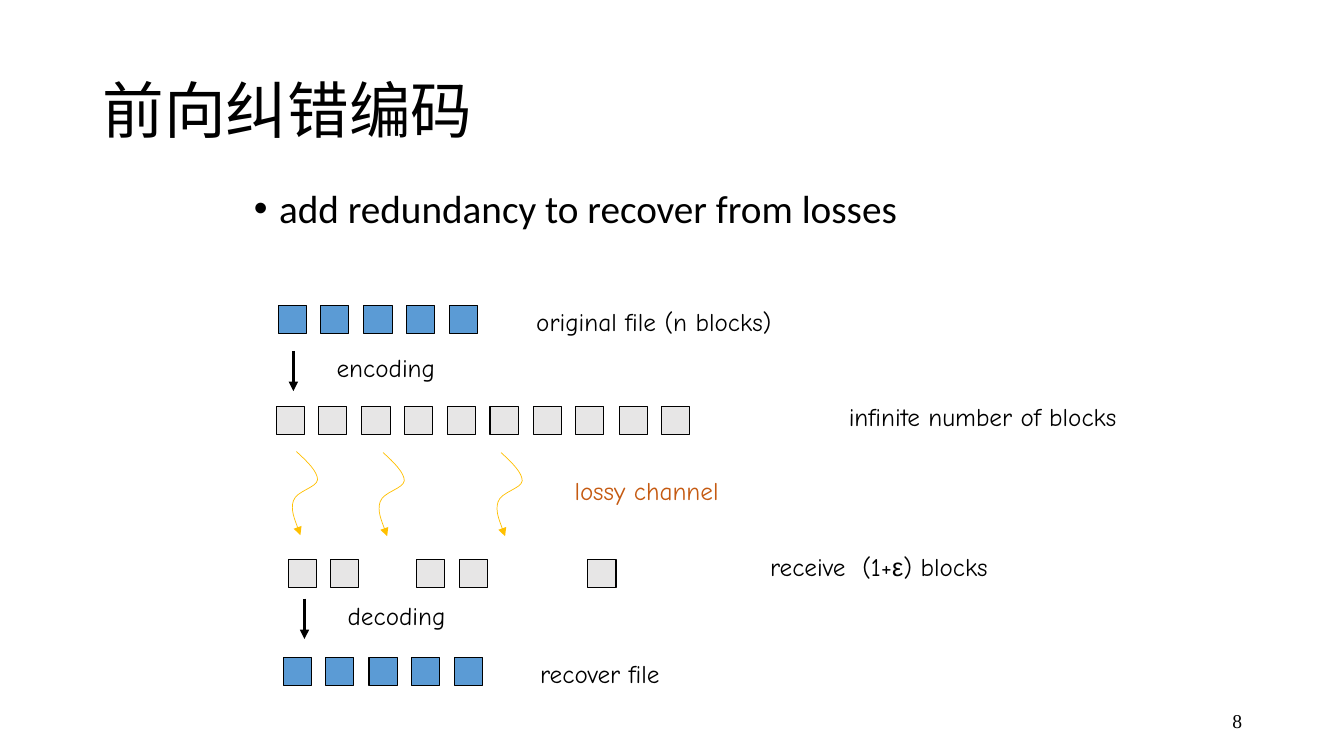
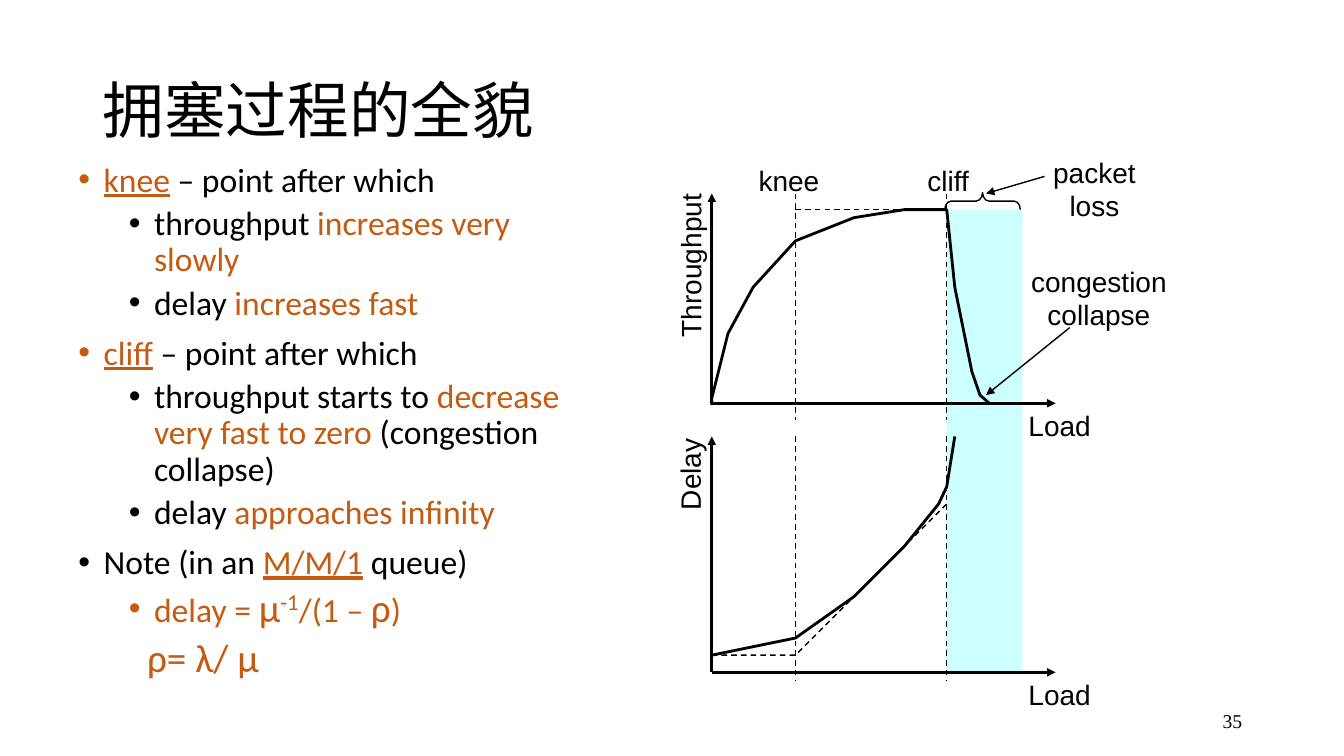
from pptx import Presentation
from pptx.dml.color import RGBColor
from pptx.enum.dml import MSO_LINE
from pptx.enum.shapes import MSO_CONNECTOR, MSO_SHAPE
from pptx.enum.text import MSO_ANCHOR, PP_ALIGN
from pptx.oxml.ns import qn
from pptx.oxml.xmlchemy import OxmlElement
from pptx.util import Pt

PX = 9144
BLACK = RGBColor(0x00, 0x00, 0x00)
BLUE = RGBColor(0x5B, 0x9B, 0xD5)
GREY = RGBColor(0xE7, 0xE6, 0xE6)
GOLD = RGBColor(0xFF, 0xC0, 0x00)
ORANGE = RGBColor(0xC5, 0x5A, 0x11)
CYAN = RGBColor(0xCC, 0xFF, 0xFF)
LEVELS = {"main": (25, -25, 10), "sub": (75, -25, 5), "plain": (68, 0, 5)}


def write(slide, box, paras, font="Arial", size=20, color=BLACK, align=PP_ALIGN.LEFT,
          anchor=MSO_ANCHOR.TOP, wrap=True, turn=0, spacing=1.0, levels=()):
    shape = slide.shapes.add_textbox(*[n * PX for n in box])
    shape.rotation = turn
    frame = shape.text_frame
    frame.word_wrap = wrap
    frame.vertical_anchor = anchor
    for i, runs in enumerate(paras):
        para = frame.paragraphs[0] if i == 0 else frame.add_paragraph()
        para.alignment = align
        para.line_spacing = spacing
        if levels:
            left, hang, before = LEVELS[levels[i]]
            props = para._p.get_or_add_pPr()
            props.set("marL", str(left * PX))
            props.set("indent", str(hang * PX))
            if i:
                para.space_before = Pt(before)
            if hang:
                face = OxmlElement("a:buFont")
                face.set("typeface", "Arial")
                mark = OxmlElement("a:buChar")
                mark.set("char", "•")
                props.extend([face, mark])
        for words, style in [(runs, {})] if isinstance(runs, str) else runs:
            run = para.add_run()
            run.text = words
            run.font.name = style.get("font", font)
            run.font.size = Pt(style.get("size", size))
            run.font.color.rgb = style.get("color", color)
            if style.get("under"):
                run.font.underline = True
            props = run._r.get_or_add_rPr()
            if style.get("raised"):
                props.set("baseline", "30000")
            asian = OxmlElement("a:ea")
            asian.set("typeface", run.font.name)
            props.append(asian)


def stroke(shape, width, color=BLACK, dash=False, arrow=False):
    line = shape.line
    line.color.rgb = color
    line.width = Pt(width)
    if dash:
        line.dash_style = MSO_LINE.DASH
    props = shape._element.spPr
    if arrow:
        tail = OxmlElement("a:tailEnd")
        tail.set("type", "triangle")
        props.find(qn("a:ln")).append(tail)
    props.append(OxmlElement("a:effectLst"))


deck = Presentation()
deck.slide_width = 1333 * PX
deck.slide_height = 750 * PX
pages = []
for title, number in [("前向纠错编码", "8"), ("拥塞过程的全貌", "35")]:
    page = deck.slides.add_slide(deck.slide_layouts[6])
    write(page, (92, 40, 1150, 145), [title], font="Noto Sans CJK SC", size=44,
          anchor=MSO_ANCHOR.MIDDLE, spacing=0.9)
    write(page, (942, 695, 300, 40), [number], font="Times New Roman", size=14,
          align=PP_ALIGN.RIGHT, anchor=MSO_ANCHOR.MIDDLE)
    pages.append(page)
coding, jam = pages

write(coding, (242, 183, 850, 110), ["add redundancy to recover from losses"],
      font="Calibri", size=28, spacing=0.9, levels=["main"])

for left, top, color, slots in [
    (276, 303, BLUE, range(5)),
    (274, 403, GREY, range(10)),
    (286, 555, GREY, (0, 1, 3, 4, 7)),
    (281, 652, BLUE, range(5)),
]:
    for slot in slots:
        x = left + slot * 85 // 2
        block = coding.shapes.add_shape(MSO_SHAPE.RECTANGLE, x * PX, top * PX, 28 * PX, 28 * PX)
        block.fill.solid()
        block.fill.fore_color.rgb = color
        stroke(block, 0.75)

greek = [("receive  (1+", {}), ("ε", {"font": "Arial"}), (") blocks", {})]
for x, y, width, label, color in [
    (522, 299, 272, "original file (n blocks)", BLACK),
    (832, 393, 313, "infinite number of blocks", BLACK),
    (324, 345, 121, "encoding", BLACK),
    (560, 467, 172, "lossy channel", ORANGE),
    (754, 542, 253, greek, BLACK),
    (526, 648, 157, "recover file", BLACK),
    (335, 591, 123, "decoding", BLACK),
]:
    write(coding, (x, y, width, 40), [label], font="Comic Neue", size=18, color=color)

WAVE = [(11, 10), (21, 20), (21, 28), (20, 36), (0, 39), (-3, 49), (-6, 58), (2, 77), (4, 83)]
for x, y in [(294, 448), (380, 449), (497, 449)]:
    pen = coding.shapes.build_freeform(x, y, scale=PX)
    pen.add_line_segments([(x + dx, y + dy) for dx, dy in WAVE], close=False)
    wave = pen.convert_to_shape()
    wave.fill.background()
    stroke(wave, 0.5, GOLD, arrow=True)
    route = wave._element.find(".//" + qn("a:path"))
    steps = list(route)[1:]
    for i in range(0, len(steps), 3):
        bend = OxmlElement("a:cubicBezTo")
        for step in steps[i:i + 3]:
            bend.append(step[0])
            route.remove(step)
        route.append(bend)

hot = {"color": ORANGE}
term = {"color": ORANGE, "under": True}
big = {"color": ORANGE, "size": 28}
write(jam, (68, 157, 521, 530), [
    [("knee", term), (" – point after which", {})],
    [("throughput ", {}), ("increases very slowly", hot)],
    [("delay ", {}), ("increases fast", hot)],
    [("cliff", term), (" – point after which", {})],
    [("throughput starts to ", {}), ("decrease very fast to zero ", hot),
     ("(congestion collapse)", {})],
    [("delay ", {}), ("approaches infinity", hot)],
    [("Note (in an ", {}), ("M/M/1", term), (" queue)", {})],
    [("delay = ", hot), ("μ", big), ("-1", {**big, "raised": True}),
     ("/(1 – ", hot), ("ρ", big), (")", hot)],
    [("ρ= λ/ μ", big)],
], font="Calibri", size=24, spacing=0.9,
    levels=["main", "sub", "sub", "main", "sub", "sub", "main", "sub", "plain"])

band = jam.shapes.add_shape(MSO_SHAPE.RECTANGLE, 939 * PX, 208 * PX, 75 * PX, 458 * PX)
band.fill.solid()
band.fill.fore_color.rgb = CYAN
band.line.fill.background()
band.shadow.inherit = False

AXIS = {"width": 2, "arrow": True}
DASH = {"width": 1, "dash": True}
POINT = {"width": 1, "arrow": True}
DOWN = {"width": 2.25, "arrow": True}
for page, ends, style in [
    (coding, (291, 348, 291, 388), DOWN),
    (coding, (302, 594, 302, 634), DOWN),
    (jam, (706, 400, 706, 192), AXIS),
    (jam, (706, 400, 1047, 400), AXIS),
    (jam, (706, 667, 706, 433), AXIS),
    (jam, (706, 667, 1047, 667), AXIS),
    (jam, (789, 192, 789, 417), DASH),
    (jam, (939, 192, 939, 417), DASH),
    (jam, (789, 433, 789, 675), DASH),
    (jam, (939, 433, 939, 675), DASH),
    (jam, (789, 208, 939, 208), DASH),
    (jam, (1061, 325, 978, 392), POINT),
    (jam, (1036, 175, 978, 192), POINT),
]:
    line = page.shapes.add_connector(MSO_CONNECTOR.STRAIGHT, *[n * PX for n in ends])
    stroke(line, **style)

for points, style in [
    ([(706, 402), (706, 395), (722, 331), (747, 285), (789, 239), (847, 216), (897, 208),
      (939, 208), (947, 285), (964, 369), (972, 392), (981, 400)], {"width": 2}),
    ([(706, 650), (789, 650), (939, 500)], DASH),
    ([(706, 650), (789, 633), (847, 592), (897, 542), (931, 500), (939, 483), (947, 433)],
     {"width": 2}),
]:
    pen = jam.shapes.build_freeform(*points[0], scale=PX)
    pen.add_line_segments(points[1:], close=False)
    curve = pen.convert_to_shape()
    curve.fill.background()
    stroke(curve, **style)

brace = jam.shapes.add_shape(MSO_SHAPE.RIGHT_BRACE, 966 * PX, 162 * PX, 17 * PX, 75 * PX)
brace.rotation = 270
brace.adjustments[0] = 0.375
brace.fill.background()
stroke(brace, 1)

for box, lines, turn in [
    ((1010, 667, 82, 43), ["Load"], 0),
    ((1010, 400, 82, 43), ["Load"], 0),
    ((603, 242, 163, 43), ["Throughput"], 270),
    ((638, 449, 92, 43), ["Delay"], 270),
    ((742, 157, 81, 43), ["knee"], 0),
    ((910, 157, 61, 43), ["cliff"], 0),
    ((1012, 257, 156, 77), ["congestion", "collapse"], 0),
    ((1034, 149, 103, 77), ["packet", "loss"], 0),
]:
    write(jam, box, lines, align=PP_ALIGN.CENTER, wrap=False, turn=turn)

deck.save("out.pptx")
